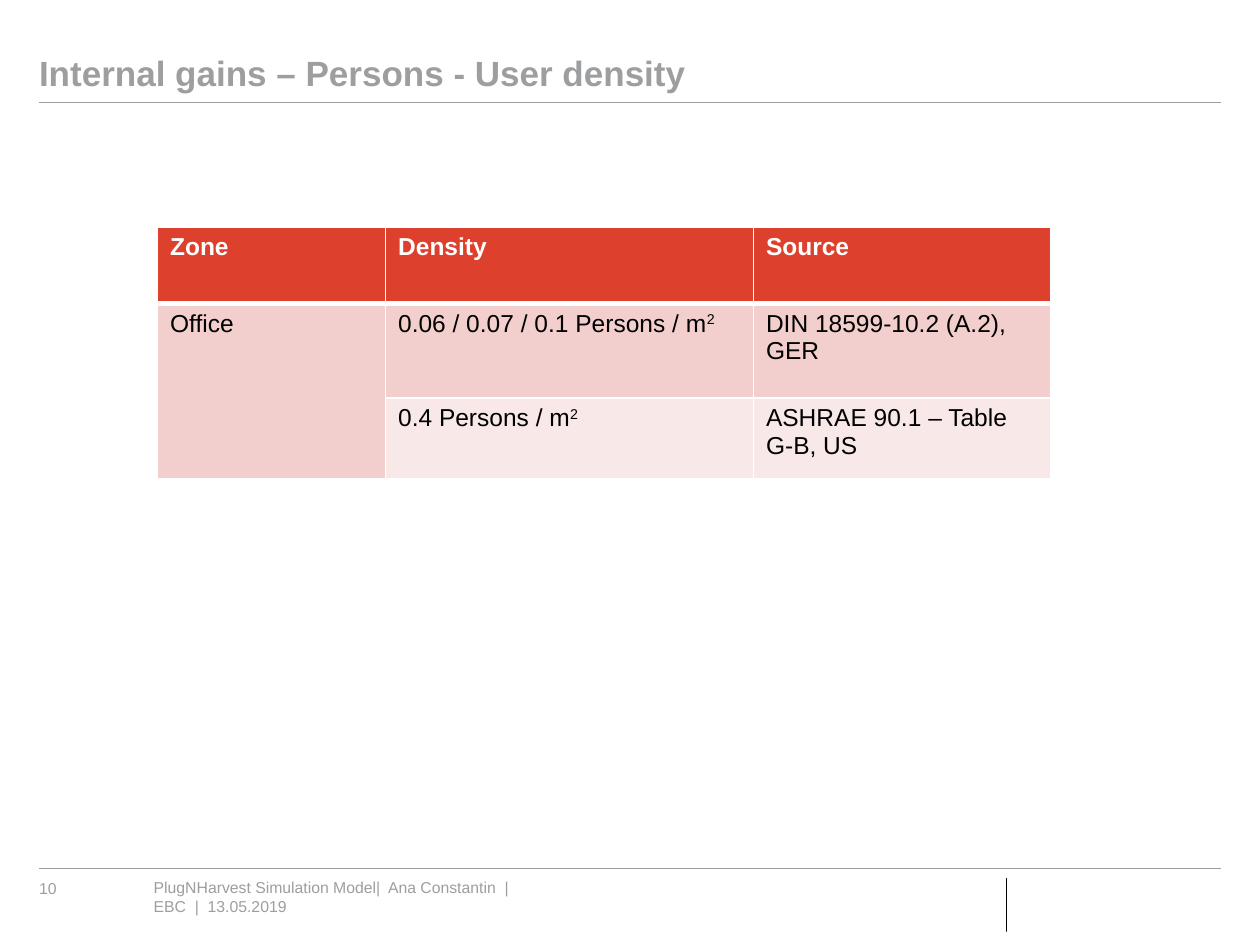
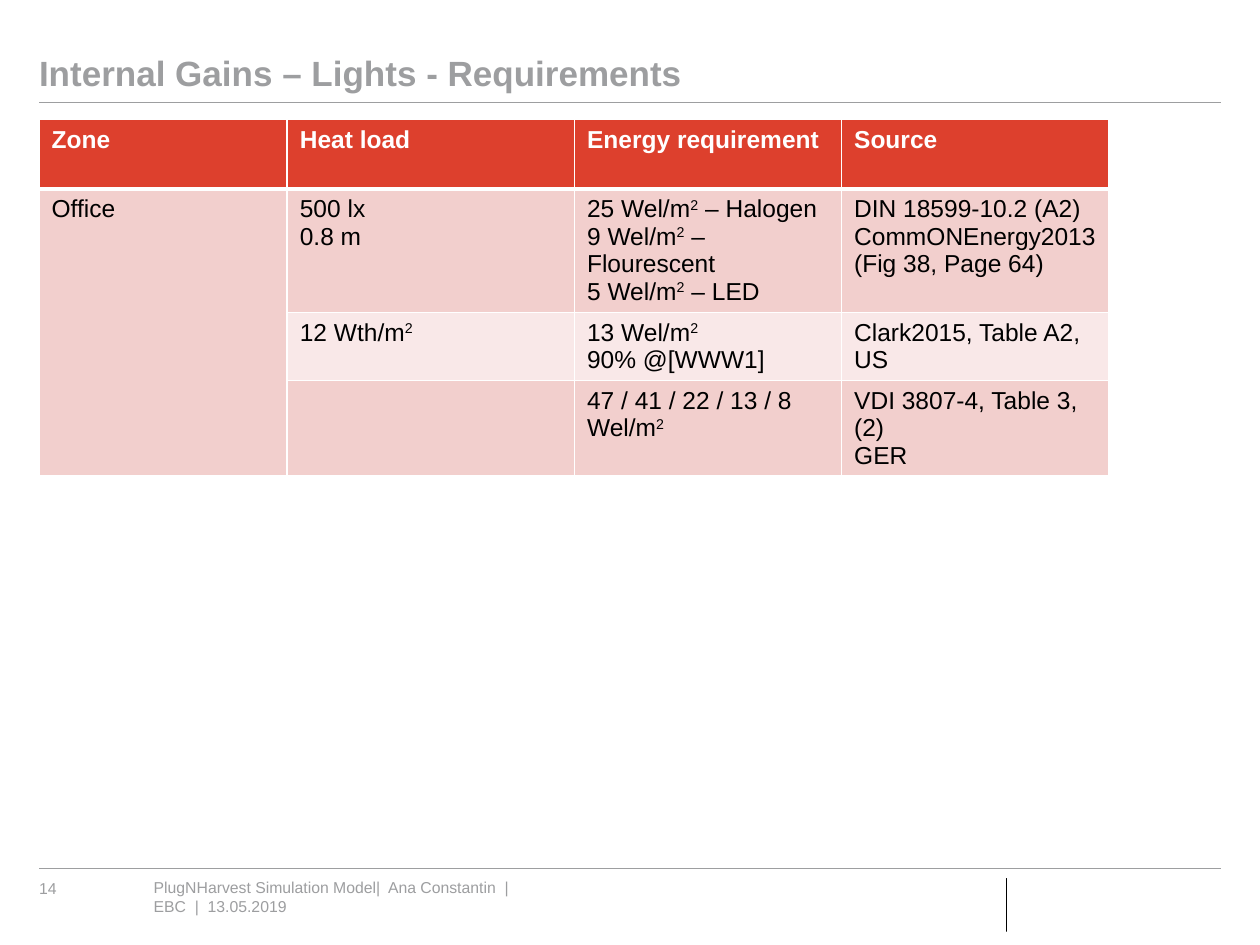
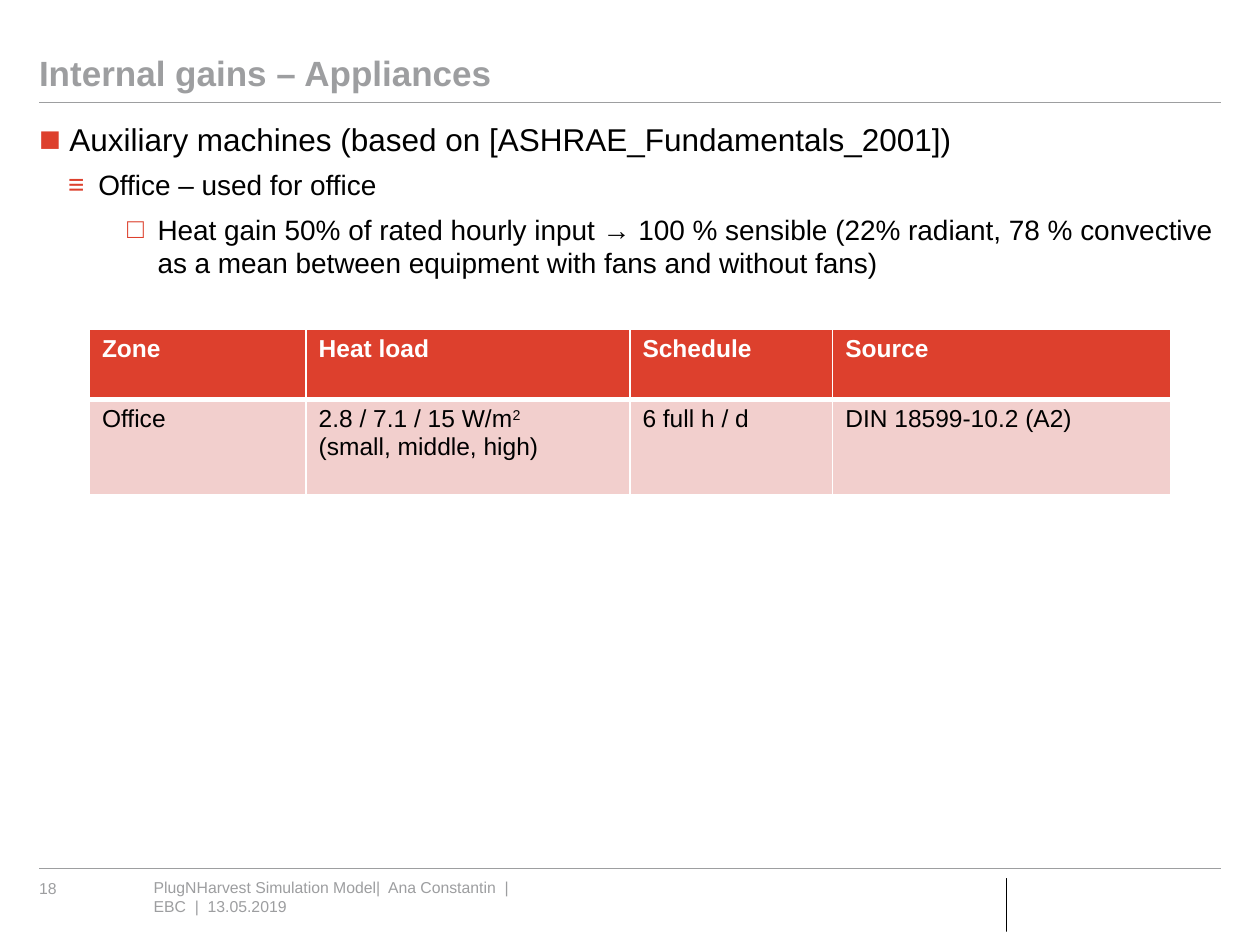
from lxml.etree import SubElement
from pptx import Presentation
from pptx.dml.color import RGBColor
from pptx.enum.shapes import MSO_CONNECTOR as Connector, MSO_SHAPE as Shape
from pptx.enum.text import MSO_ANCHOR as Anchor, MSO_AUTO_SIZE as AutoSize, PP_ALIGN as Align
from pptx.oxml.ns import qn
from pptx.util import Inches, Pt

COLORS = {"red": "DD402D", "gray": "9D9EA0", "pink": "F2CFCD", "blush": "F9E8E8",
          "white": "FFFFFF", "black": "000000"}
FONT = "Arial"
LEFT, RIGHT = 0.31, 9.69
FOOTER = "PlugNHarvest Simulation Model|  Ana Constantin  |  EBC  |  13.05.2019"
BULLETS = {0: ("■", 0.24, 115), 1: ("≡", 0.47, 100), 3: ("□", 0.94, 100)}
TITLE_ONLY, TITLE_AND_BODY = 5, 1


def rgb(name):
    return RGBColor.from_string(COLORS[name])


def write(frame, text, size=14, color="black", bold=False, space_before=0, line_spacing=1):
    """Fill a text frame, one paragraph a line; text between ^ marks is superscript."""
    for index, line in enumerate(text.split("\n")):
        paragraph = frame.paragraphs[0] if index == 0 else frame.add_paragraph()
        paragraph.alignment = Align.LEFT
        paragraph.space_before = Pt(space_before)
        paragraph.line_spacing = line_spacing
        for position, part in enumerate(line.split("^")):
            if not part:
                continue
            run = paragraph.add_run()
            run.text = part
            font = run.font
            font.name, font.size, font.bold = FONT, Pt(size), bold
            font.color.rgb = rgb(color)
            if position % 2:
                run._r.get_or_add_rPr().set("baseline", "30000")


def clear_insets(frame, anchor=Anchor.TOP):
    frame.margin_left = frame.margin_right = frame.margin_top = frame.margin_bottom = 0
    frame.word_wrap, frame.auto_size = True, AutoSize.NONE
    frame.vertical_anchor = anchor


def add_bullet(paragraph, level):
    mark, indent, percent = BULLETS[level]
    paragraph.level = level
    properties = paragraph._p.get_or_add_pPr()
    properties.set("marL", str(Inches(indent)))
    properties.set("indent", str(Inches(-0.24)))
    SubElement(SubElement(properties, qn("a:buClr")), qn("a:srgbClr"), val=COLORS["red"])
    SubElement(properties, qn("a:buSzPct"), val=str(percent * 1000))
    SubElement(properties, qn("a:buFont"), typeface=FONT)
    SubElement(properties, qn("a:buChar"), char=mark)


def add_borders(cell, top, bottom):
    properties = cell._tc.get_or_add_tcPr()
    for side, points in (("L", 1), ("R", 1), ("T", top), ("B", bottom)):
        border = SubElement(properties, qn(f"a:ln{side}"), w=str(Pt(points)))
        fill = SubElement(border, qn("a:solidFill"))
        SubElement(fill, qn("a:srgbClr"), val=COLORS["white"])


class Deck:
    """Holds the presentation, its shared style and the current slide."""

    def __init__(self):
        self.presentation = Presentation()
        self.presentation.slide_width = Inches(10)
        self.presentation.slide_height = Inches(7.5)
        self.slide = None

    def new_slide(self, title, number, layout=TITLE_ONLY):
        self.slide = self.presentation.slides.add_slide(
            self.presentation.slide_layouts[layout])
        self.rule(0.81)
        self.rule(6.89)
        self.text(FOOTER, 1.22, 6.97, 2.95, 0.47, size=9, color="gray")
        self.text(str(number), LEFT, 6.97, 0.72, 0.15, size=9, color="gray")
        self.divider()
        heading = self.place(self.slide.shapes.title, LEFT, 0.16, 9.37, 0.59)
        clear_insets(heading.text_frame, Anchor.BOTTOM)
        write(heading.text_frame, title, size=20, color="gray", bold=True, line_spacing=0.9)

    def place(self, shape, left, top, width, height):
        shape.left, shape.top = Inches(left), Inches(top)
        shape.width, shape.height = Inches(width), Inches(height)
        return shape

    def rule(self, y):
        line = self.slide.shapes.add_connector(
            Connector.STRAIGHT, Inches(LEFT), Inches(y), Inches(RIGHT), Inches(y))
        line.line.color.rgb, line.line.width = rgb("gray"), Pt(0.5)
        SubElement(line._element.spPr, qn("a:effectLst"))

    def divider(self):
        bar = self.slide.shapes.add_shape(
            Shape.RECTANGLE, Inches(7.99), Inches(6.97), 0, Inches(0.42))
        bar.shadow.inherit = False
        bar.fill.solid()
        bar.fill.fore_color.rgb = bar.line.color.rgb = rgb("black")
        bar.line.width = Pt(0.75)

    def text(self, content, left, top, width, height, **style):
        box = self.slide.shapes.add_textbox(
            Inches(left), Inches(top), Inches(width), Inches(height))
        clear_insets(box.text_frame)
        write(box.text_frame, content, **style)

    def bullets(self, items):
        """Fill the body placeholder with (level, text) items."""
        body = self.place(self.slide.placeholders[1], LEFT, 0.95, 9.37, 5.79)
        frame = body.text_frame
        clear_insets(frame)
        write(frame, "\n".join(item for _, item in items), size=16, space_before=6)
        for paragraph, (level, _) in zip(frame.paragraphs, items):
            add_bullet(paragraph, level)
            if level == 0:
                paragraph.runs[0].font.size = Pt(18)

    def table(self, left, top, widths, heights, rows):
        """Draw a header and banded rows; the first column is one merged zone."""
        grid = self.slide.shapes.add_table(
            len(rows), len(widths), Inches(left), Inches(top),
            Inches(sum(widths)), Inches(sum(heights))).table
        grid.horz_banding = False
        for column, width in zip(grid.columns, widths):
            column.width = Inches(width)
        for row, height in zip(grid.rows, heights):
            row.height = Inches(height)
        for r, row in enumerate(rows):
            header = r == 0
            for c, content in enumerate(row):
                cell = grid.cell(r, c)
                add_borders(cell, top=3 if r == 1 else 1, bottom=3 if header else 1)
                cell.fill.solid()
                band = "pink" if r % 2 or c == 0 else "blush"
                cell.fill.fore_color.rgb = rgb("red" if header else band)
                write(cell.text_frame, content, bold=header,
                      color="white" if header else "black")
        if len(rows) > 2:
            grid.cell(1, 0).merge(grid.cell(len(rows) - 1, 0))


def main():
    deck = Deck()

    deck.new_slide("Internal gains – Persons - User density", 10)
    deck.table(1.25, 1.8, [1.81, 2.92, 2.36], [0.61, 0.75, 0.64], [
        ["Zone", "Density", "Source"],
        ["Office", "0.06 / 0.07 / 0.1 Persons / m^2^", "DIN 18599-10.2 (A.2), GER"],
        ["", "0.4 Persons / m^2^", "ASHRAE 90.1 – Table G-B, US"],
    ])

    deck.new_slide("Internal Gains – Lights - Requirements", 14)
    deck.table(LEFT, 0.95, [1.97, 2.28, 2.12, 2.12], [0.55, 0.98, 0.54, 0.76], [
        ["Zone", "Heat load", "Energy requirement", "Source"],
        ["Office", "500 lx\n0.8 m",
         "25 Wel/m^2^ – Halogen\n9 Wel/m^2^ – Flourescent\n5 Wel/m^2^ – LED",
         "DIN 18599-10.2 (A2)\nCommONEnergy2013\n(Fig 38, Page 64)"],
        ["", "12 Wth/m^2^", "13 Wel/m^2^\n90% @[WWW1]", "Clark2015, Table A2, US"],
        ["", "", "47 / 41 / 22 / 13 / 8 Wel/m^2^", "VDI 3807-4, Table 3, (2)\nGER"],
    ])

    deck.new_slide("Internal gains – Appliances", 18, TITLE_AND_BODY)
    deck.bullets([
        (0, "Auxiliary machines (based on [ASHRAE_Fundamentals_2001])"),
        (1, "Office – used for office"),
        (3, "Heat gain 50% of rated hourly input → 100 % sensible (22% radiant, "
            "78 % convective as a mean between equipment with fans and without fans)"),
    ])
    deck.table(0.71, 2.61, [1.72, 2.57, 1.61, 2.68], [0.56, 0.76], [
        ["Zone", "Heat load", "Schedule", "Source"],
        ["Office", "2.8 / 7.1 / 15 W/m^2^\n(small, middle, high)", "6 full h / d",
         "DIN 18599-10.2 (A2)"],
    ])

    deck.presentation.save("out.pptx")


if __name__ == "__main__":
    main()
